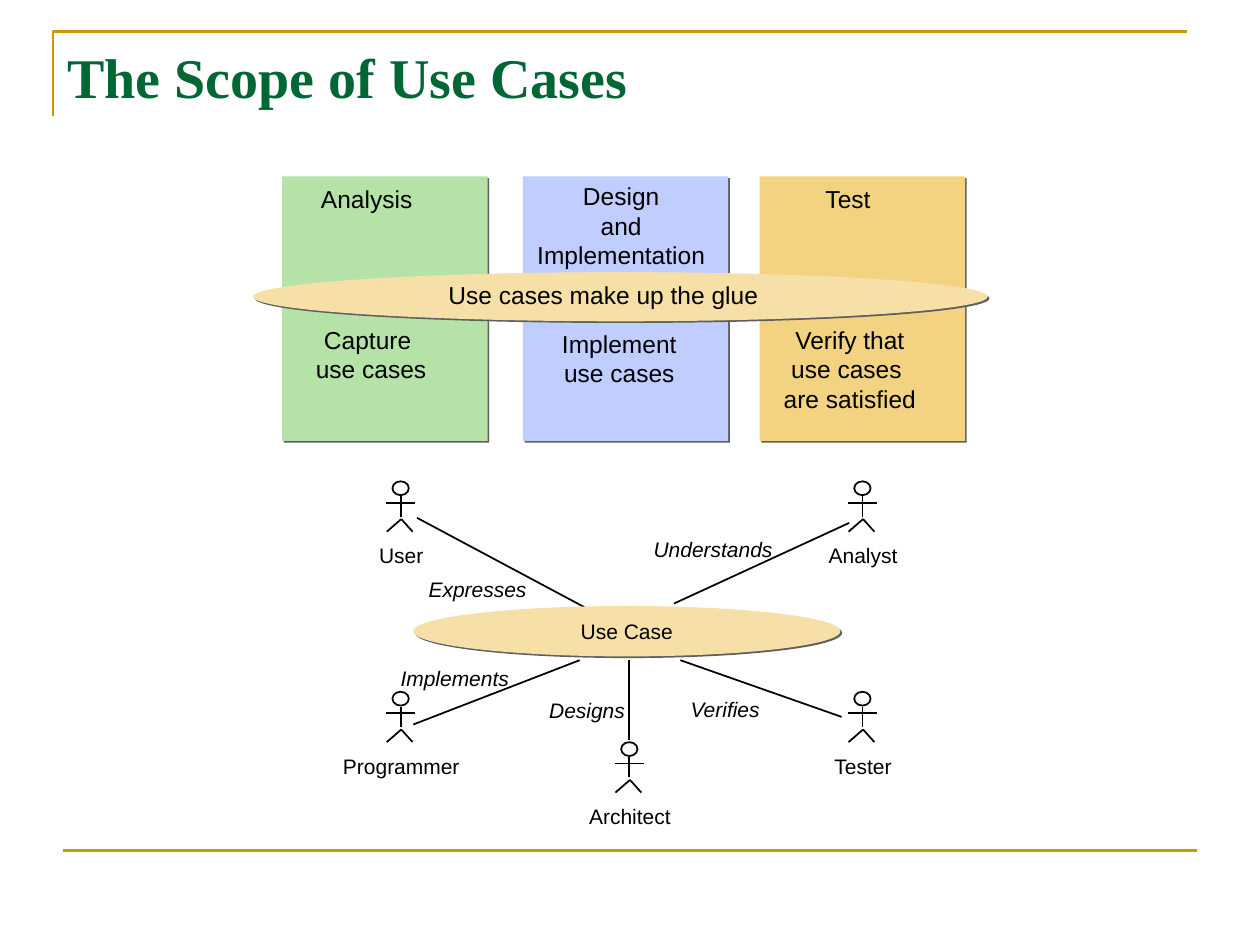
from typing import NamedTuple

from lxml.etree import SubElement
from pptx import Presentation
from pptx.dml.color import RGBColor
from pptx.enum.shapes import MSO_CONNECTOR, MSO_SHAPE as Shape
from pptx.enum.text import MSO_ANCHOR as Anchor, PP_ALIGN as Align
from pptx.oxml.ns import qn
from pptx.util import Inches, Pt

COLS, ROWS = 100, 75
BLACK, GOLD, GREEN, SAND, SHADE = "000000", "CC9900", "006633", "F7E0A7", "5F5F5F"


class Box(NamedTuple):
    col: float
    row: float
    cols: float
    rows: float


class Label(NamedTuple):
    text: str
    box: Box
    size: int = 14
    italic: bool = False
    spacing: float = 1.0


class Actor(NamedTuple):
    name: str
    col: float
    row: float


class Line(NamedTuple):
    col1: float
    row1: float
    col2: float
    row2: float


PANELS = [(22.4, "B4E2A7"), (41.5, "C0CEFF"), (60.3, "F3D281")]
GLUE = Box(20.1, 21.6, 58.3, 3.9)
USE_CASE = Box(32.8, 48.1, 33.9, 4)
PHASES = [
    Label("Analysis", Box(24.5, 14.1, 9.2, 3.3)),
    Label("Capture \vuse cases", Box(22, 25.3, 14.9, 5.6)),
    Label("Design\vand\vImplementation", Box(41.2, 13.9, 16.2, 8)),
    Label("Implement\vuse cases", Box(41.7, 25.6, 14.9, 5.6)),
    Label("Verify that\vuse cases \vare satisfied", Box(60, 25.3, 14.9, 8)),
    Label("Test", Box(64.4, 14.1, 5.8, 3.3)),
    Label("Use cases make up the glue", Box(34.6, 21.7, 26.6, 3.3)),
]
ROLES = [
    Label("Understands", Box(50.9, 42.1, 11.4, 3), 12, True),
    Label("Verifies", Box(53.8, 54.8, 7.5, 3), 12, True),
    Label("Designs", Box(42.6, 54.9, 8, 3), 12, True),
    Label("Implements", Box(30.8, 52.3, 10.6, 3), 12, True),
    Label("Expresses", Box(33, 45.3, 9.8, 3), 12, True),
]
ACTORS = [
    Actor("User", 31.8, 38.2),
    Actor("Analyst", 68.45, 38.2),
    Actor("Programmer", 31.8, 54.9),
    Actor("Tester", 68.45, 54.9),
    Actor("Architect", 49.95, 58.9),
]
LIMBS = [
    Line(0, 1.2, 0, 2.8),
    Line(-1.15, 1.7, 1.15, 1.7),
    Line(0.05, 3, -1.1, 4),
    Line(0.05, 3, 0.95, 4),
]
LINKS = [
    Line(33.1, 41.1, 46.4, 48.2),
    Line(67.4, 41.5, 53.5, 47.9),
    Line(46, 52.4, 32.8, 57.5),
    Line(54, 52.4, 66.8, 56.9),
    Line(49.9, 52.4, 49.9, 58.7),
]

prs = Presentation()
prs.slide_width, prs.slide_height = Inches(10), Inches(7.5)


def rgb(value: str) -> RGBColor:
    return RGBColor.from_string(value)


def x(cols: float) -> int:
    return round(prs.slide_width * cols / COLS)


def y(rows: float) -> int:
    return round(prs.slide_height * rows / ROWS)


def place(box: Box) -> tuple[int, int, int, int]:
    return x(box.col), y(box.row), x(box.cols), y(box.rows)


def add_line(shapes, line: Line, color: str = BLACK, width: float = 1) -> None:
    c = shapes.add_connector(MSO_CONNECTOR.STRAIGHT, x(line.col1), y(line.row1),
                             x(line.col2), y(line.row2))
    c.line.color.rgb, c.line.width = rgb(color), Pt(width)
    SubElement(c._element.spPr, qn("a:effectLst"))


def add_filled(shapes, kind: Shape, box: Box, fill: str):
    sp = shapes.add_shape(kind, *place(box))
    sp.fill.solid()
    sp.fill.fore_color.rgb = rgb(fill)
    sp.line.fill.background()
    sp.shadow.inherit = False
    effects = sp._element.spPr.find(qn("a:effectLst"))
    shadow = SubElement(effects, qn("a:outerShdw"), dist=str(Pt(1.4)), dir="2700000",
                        algn="ctr", rotWithShape="0")
    SubElement(shadow, qn("a:srgbClr"), val=SHADE)
    return sp


def write(tf, text: str, size: int, italic: bool = False, spacing: float = 1.0) -> None:
    tf.word_wrap = False
    tf.margin_left = tf.margin_right = 0
    p = tf.paragraphs[0]
    p.text, p.alignment, p.line_spacing = text, Align.CENTER, spacing
    p.font.name, p.font.size, p.font.italic = "Arial", Pt(size), italic
    p.font.color.rgb = rgb(BLACK)


def add_label(shapes, label: Label) -> None:
    tf = shapes.add_textbox(*place(label.box)).text_frame
    write(tf, label.text, label.size, label.italic, label.spacing)


def add_actor(shapes, actor: Actor) -> None:
    head = shapes.add_shape(Shape.OVAL, *place(Box(actor.col - 0.65, actor.row, 1.3, 1.1)))
    head.fill.background()
    head.line.color.rgb, head.line.width = rgb(BLACK), Pt(1)
    head.shadow.inherit = False
    for limb in LIMBS:
        add_line(shapes, Line(actor.col + limb.col1, actor.row + limb.row1,
                              actor.col + limb.col2, actor.row + limb.row2))
    box = Box(actor.col - 6, actor.row + 4.6, 12.1, 2.8)
    add_label(shapes, Label(actor.name, box, 12, spacing=0.9))


def add_frame(shapes) -> None:
    builder = shapes.build_freeform(x(4.2), y(9.2))
    builder.add_line_segments([(x(4.2), y(2.5)), (x(94.2), y(2.5))], close=False)
    sp = builder.convert_to_shape()
    sp.fill.background()
    sp.line.color.rgb, sp.line.width = rgb(GOLD), Pt(1.5)
    sp.shadow.inherit = False
    add_line(shapes, Line(5, 67.5, 95, 67.5), GOLD, 1.5)


def set_title(title, text: str) -> None:
    title.left, title.top, title.width, title.height = place(Box(4.35, 2.5, 90, 7.1))
    tf = title.text_frame
    tf.vertical_anchor = Anchor.MIDDLE
    p = tf.paragraphs[0]
    p.text, p.alignment = text, Align.LEFT
    p.font.name, p.font.size, p.font.bold = "Times New Roman", Pt(32), True
    p.font.color.rgb = rgb(GREEN)


def main() -> None:
    """Build the use case scope slide and save it."""
    shapes = prs.slides.add_slide(prs.slide_layouts[5]).shapes
    set_title(shapes.title, "The Scope of Use Cases")
    add_frame(shapes)
    for col, fill in PANELS:
        add_filled(shapes, Shape.RECTANGLE, Box(col, 14, 16.3, 21), fill)
    add_filled(shapes, Shape.OVAL, GLUE, SAND)
    for actor in ACTORS:
        add_actor(shapes, actor)
    for link in LINKS:
        add_line(shapes, link)
    for label in PHASES + ROLES:
        add_label(shapes, label)
    tf = add_filled(shapes, Shape.OVAL, USE_CASE, SAND).text_frame
    tf.vertical_anchor = Anchor.MIDDLE
    write(tf, "Use Case", 12)
    prs.save("out.pptx")


if __name__ == "__main__":
    main()
